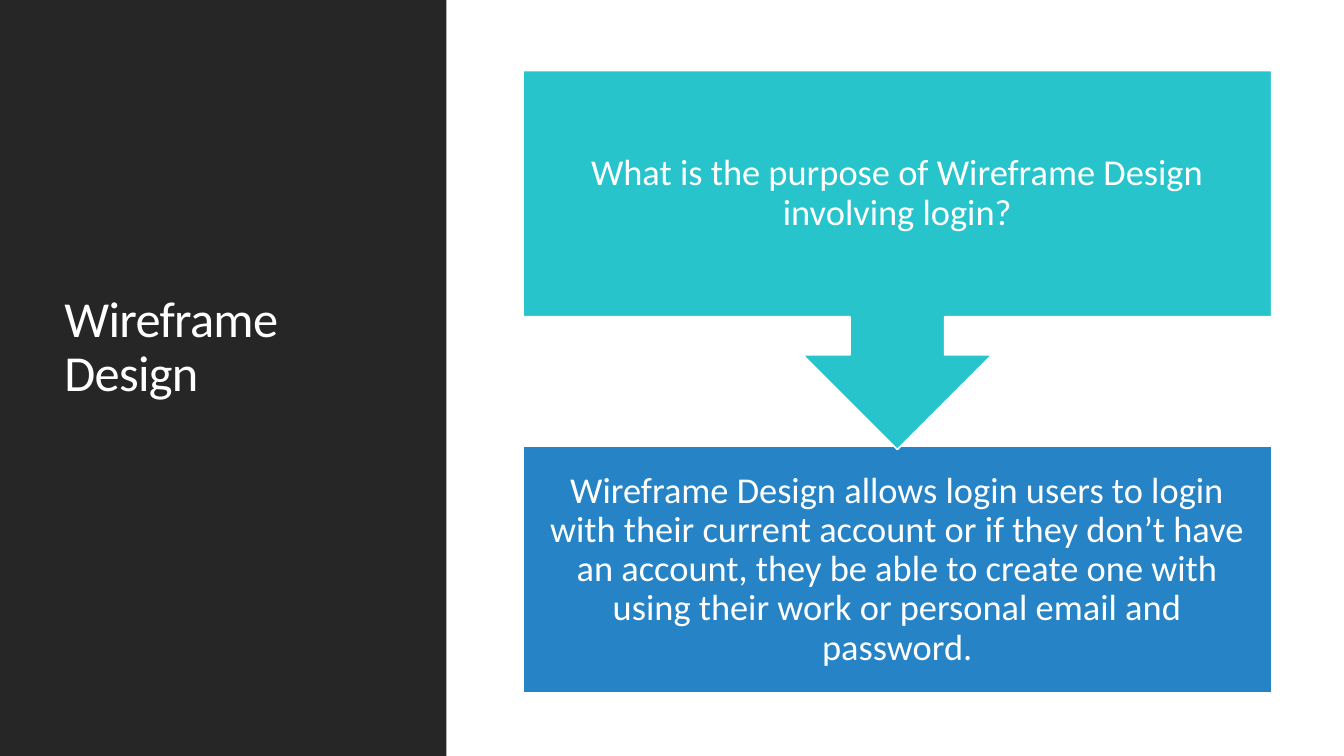
from pptx import Presentation
from pptx.dml.color import RGBColor
from pptx.enum.shapes import MSO_SHAPE
from pptx.enum.text import MSO_ANCHOR, PP_ALIGN
from pptx.util import Cm, Pt

RECT = MSO_SHAPE.RECTANGLE
CALLOUT = MSO_SHAPE.DOWN_ARROW_CALLOUT
MIDDLE = MSO_ANCHOR.MIDDLE
LEFT, CENTER = PP_ALIGN.LEFT, PP_ALIGN.CENTER

WHITE = RGBColor(0xFF, 0xFF, 0xFF)
DARK = RGBColor(0x26, 0x26, 0x26)
BLUE = RGBColor(0x26, 0x83, 0xC6)
TEAL = RGBColor(0x28, 0xC4, 0xCC)

FONT = "Calibri"
TITLE = "Wireframe Design"
ASK = "What is the purpose of Wireframe Design involving login?"
REPLY = ("Wireframe Design allows login users to login with their current "
         "account or if they don’t have an account, they be able to create "
         "one with using their work or personal email and password.")


def write(shape, text, size, align):
    frame = shape.text_frame
    frame.text = text
    frame.word_wrap = True
    frame.vertical_anchor = MIDDLE
    para = frame.paragraphs[0]
    para.alignment = align
    para.line_spacing = 0.9
    run = para.runs[0]
    run.font.name = FONT
    run.font.size = Pt(size)
    run.font.color.rgb = WHITE
    return run


def add_block(slide, kind, box, fill):
    shape = slide.shapes.add_shape(kind, *map(Cm, box))
    shape.shadow.inherit = False
    shape.fill.solid()
    shape.fill.fore_color.rgb = fill
    shape.line.fill.background()
    return shape


def add_step(slide, kind, top, height, fill, text):
    """Add a white-edged block of the flow with its centred text."""
    step = add_block(slide, kind, (13.18, top, 18.87, height), fill)
    step.line.color.rgb = WHITE
    step.line.width = Pt(1.25)
    write(step, text, 26, CENTER)
    frame = step.text_frame
    frame.margin_left = frame.margin_right = Cm(0.5)
    frame.margin_top = frame.margin_bottom = Cm(0.5)


def set_title(slide, panel):
    """Place the title in front of the side panel."""
    title = slide.shapes.title
    title.left, title.top = Cm(1.37), Cm(1.45)
    title.width, title.height = Cm(8.56), Cm(16.03)
    run = write(title, TITLE, 36, LEFT)
    run.font._element.set("spc", "-50")
    title.text_frame.margin_bottom = Cm(1.5)
    panel.element.addnext(title.element)


def main():
    deck = Presentation()
    deck.slide_width, deck.slide_height = Cm(33.87), Cm(19.05)
    slide = deck.slides.add_slide(deck.slide_layouts[5])
    slide.background.fill.solid()
    slide.background.fill.fore_color.rgb = WHITE

    panel = add_block(slide, RECT, (0, 0, 11.25, 19.05), DARK)
    set_title(slide, panel)
    add_step(slide, RECT, 11.25, 6.22, BLUE, REPLY)
    add_step(slide, CALLOUT, 1.78, 9.55, TEAL, ASK)
    deck.save("out.pptx")


if __name__ == "__main__":
    main()
